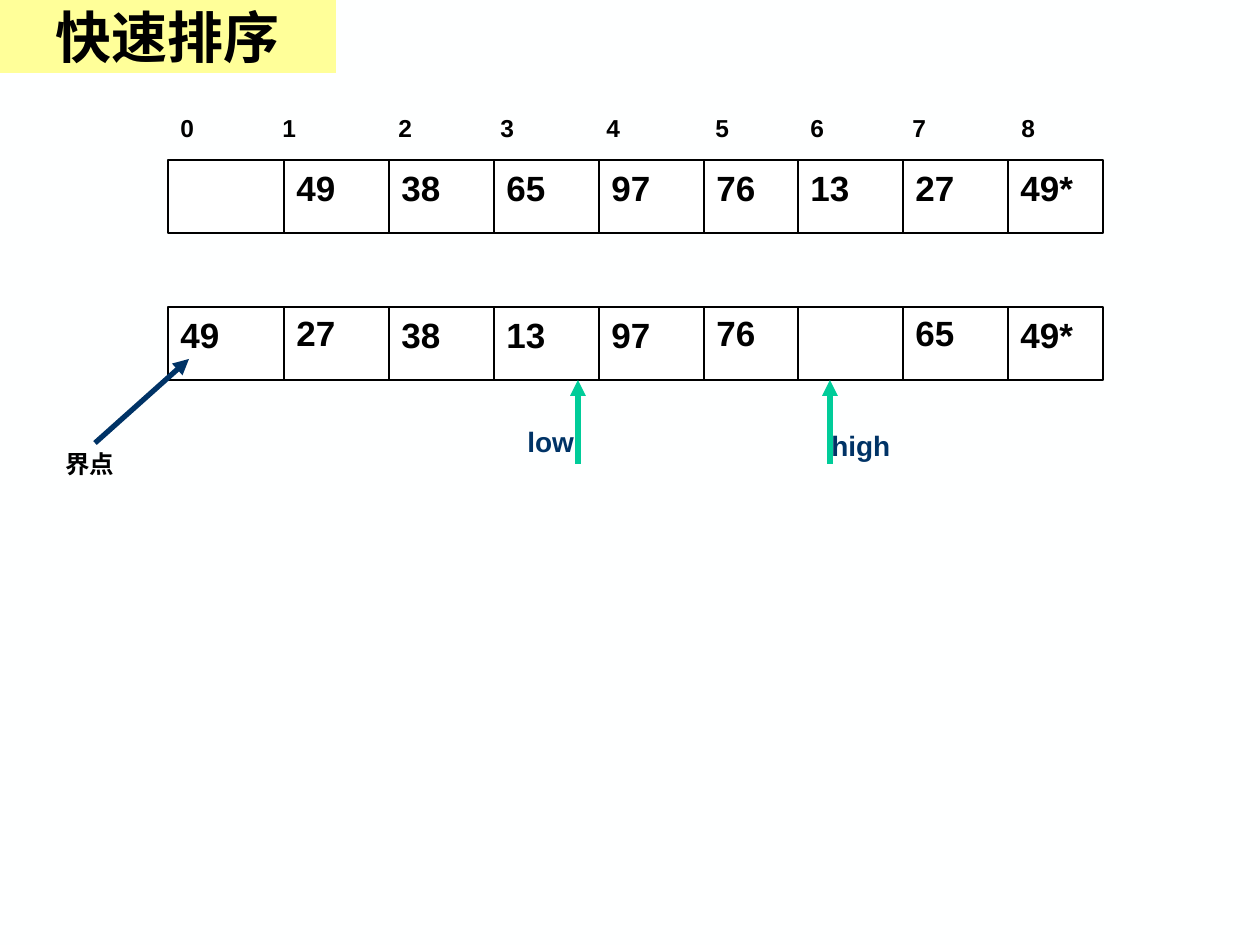
from lxml.etree import SubElement
from pptx import Presentation
from pptx.dml.color import RGBColor
from pptx.enum.shapes import MSO_CONNECTOR, MSO_SHAPE
from pptx.enum.text import MSO_ANCHOR, MSO_AUTO_SIZE, PP_ALIGN
from pptx.oxml.ns import qn
from pptx.util import Pt

SCALE = 914400 / 126
COLORS = {
    "page": "FEFFFF",
    "cell": "FFFFFF",
    "ink": "000000",
    "title": "FFFF99",
    "pointer": "00CC99",
    "navy": "003366",
}
INDEX = {"name": "Arial", "size": Pt(14), "bold": True}
VALUE = {"name": "Arial", "size": Pt(20), "bold": True}
LABEL = {"name": "Arial", "size": Pt(16), "bold": True}
TITLE = {"name": "Times New Roman", "size": Pt(32), "bold": True}
CELL_LEFTS = [0, 116, 221, 326, 431, 536, 630, 735, 840]
INDEX_TABS = [102, 218, 320, 426, 535, 630, 732, 841]


def px(length):
    """Turn a length in px into EMU."""
    return round(length * SCALE)


def color(name):
    """Look up a named colour."""
    return RGBColor.from_string(COLORS[name])


def write(frame, text, style, ink="ink"):
    """Write one formatted paragraph in a text frame and return it."""
    para = frame.paragraphs[0]
    span = para.add_run()
    span.text = text
    for name, value in style.items():
        setattr(span.font, name, value)
    span.font.color.rgb = color(ink)
    return para


def add_text(shapes, box, text, style, ink="ink"):
    """Add a wrapping text box that grows with its text."""
    frame = shapes.add_textbox(*map(px, box)).text_frame
    frame.word_wrap = True
    frame.auto_size = MSO_AUTO_SIZE.SHAPE_TO_FIT_TEXT
    return write(frame, text, style, ink)


def add_line(shapes, start, end, ink, width, arrow=False):
    """Add a straight line, with an arrowhead at its end if wanted."""
    line = shapes.add_connector(MSO_CONNECTOR.STRAIGHT, *map(px, start + end))
    line.line.color.rgb = color(ink)
    line.line.width = Pt(width)
    if arrow:
        SubElement(line.line._get_or_add_ln(), qn("a:tailEnd"), type="triangle")
    SubElement(line._element.spPr, qn("a:effectLst"))


def add_title(page, box, text):
    """Fill the title placeholder as a coloured banner."""
    title = page.shapes.title
    title.left, title.top, title.width, title.height = map(px, box)
    title.fill.solid()
    title.fill.fore_color.rgb = color("title")
    frame = title.text_frame
    frame.auto_size = MSO_AUTO_SIZE.NONE
    frame.vertical_anchor = MSO_ANCHOR.MIDDLE
    write(frame, text, TITLE).alignment = PP_ALIGN.CENTER


def add_indices(page, box):
    """Number the cells in one line set on tab stops."""
    text = "\t".join(map(str, range(len(CELL_LEFTS))))
    para = add_text(page.shapes, box, text, INDEX)
    stops = SubElement(para._p.get_or_add_pPr(), qn("a:tabLst"))
    for tab in INDEX_TABS:
        SubElement(stops, qn("a:tab"), pos=str(px(tab)), algn="l")


def add_array(page, box, values, raised=()):
    """Draw a row of cells and its values, some of them raised slightly."""
    left, top, width, height = box
    group = page.shapes.add_group_shape().shapes
    frame = group.add_shape(MSO_SHAPE.RECTANGLE, *map(px, box))
    frame.shadow.inherit = False
    frame.fill.solid()
    frame.fill.fore_color.rgb = color("cell")
    frame.line.color.rgb = color("ink")
    frame.line.width = Pt(0.75)
    for offset in CELL_LEFTS[1:]:
        x = left + offset
        add_line(group, (x, top), (x, top + height), "ink", 0.75)
    for place, (offset, value) in enumerate(zip(CELL_LEFTS, values)):
        if value:
            y = top - 2 if place in raised else top
            add_text(page.shapes, (left + offset, y, 84, 55), value, VALUE)


def add_pointer(page, box, text, label_left, label_top):
    """Draw an upward pointer along the left edge of a box, with its label."""
    left, top, width, height = box
    group = page.shapes.add_group_shape().shapes
    add_line(group, (left, top + height), (left, top), "pointer", 3, arrow=True)
    label = (left + label_left, top + label_top, width, 46)
    add_text(group, label, text, LABEL, "navy")


def add_pivot(page, box):
    """Name the pivot at the foot of a box and point to its top right."""
    left, top, width, height = box
    bottom = top + height
    add_text(page.shapes, (left - 42, bottom, 105, 43), "界点", INDEX)
    add_line(page.shapes, (left, bottom), (left + width, top), "navy", 3, arrow=True)


def main():
    """Build the quicksort slide."""
    deck = Presentation()
    deck.slide_width, deck.slide_height = px(1260), px(945)
    page = deck.slides.add_slide(deck.slide_layouts[5])
    page.background.fill.solid()
    page.background.fill.fore_color.rgb = color("page")
    add_title(page, (0, 0, 336, 73), "快速排序")
    add_indices(page, (168, 107, 935, 43))
    before = ["", "49", "38", "65", "97", "76", "13", "27", "49*"]
    after = ["49", "27", "38", "13", "97", "76", "", "65", "49*"]
    add_array(page, (168, 160, 935, 73), before)
    add_array(page, (168, 307, 935, 73), after, raised=(1, 5, 7))
    add_pointer(page, (578, 380, 116, 84), "low", -63, 38)
    add_pointer(page, (830, 380, 116, 84), "high", -11, 42)
    add_pivot(page, (95, 359, 94, 84))
    deck.save("out.pptx")


if __name__ == "__main__":
    main()
